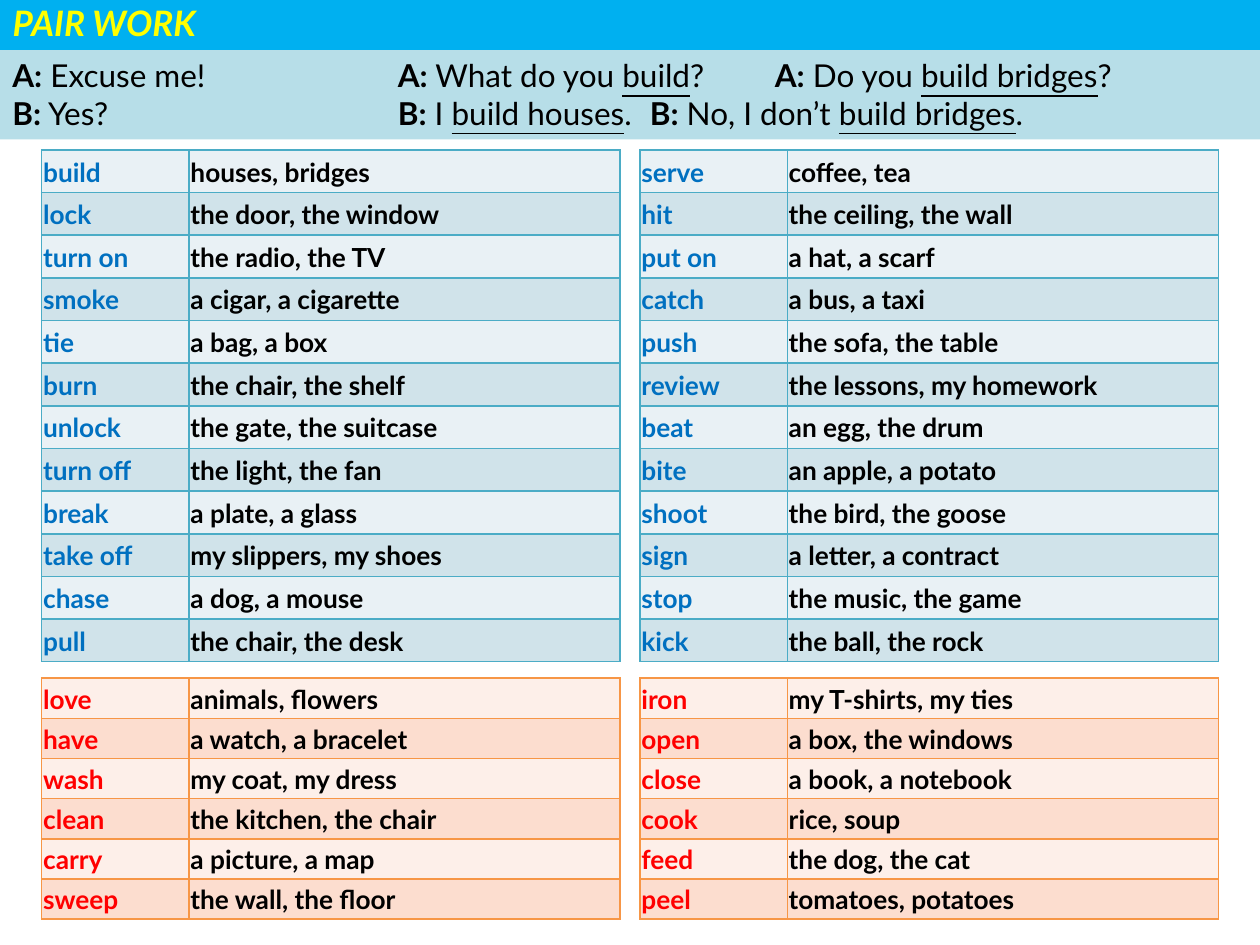
from lxml import etree
from pptx import Presentation
from pptx import util as u
from pptx.dml.color import RGBColor
from pptx.enum import shapes, text
from pptx.oxml.ns import qn

# Content
TITLE = "PAIR WORK"
# Each turn is a list of (words, style); style is "bold", "underline" or ""
DIALOGUE = [
    [
        [("A:", "bold"), (" Excuse me!", "")],
        [("A:", "bold"), (" What do you ", ""), ("build", "underline"), ("?", "")],
        [("A:", "bold"), (" Do you ", ""), ("build bridges", "underline"), ("?", "")],
    ],
    [
        [("B:", "bold"), (" Yes?", "")],
        [("B:", "bold"), (" I ", ""), ("build houses", "underline"), (".", "")],
        [("B:", "bold"), (" No, I don’t ", ""), ("build bridges", "underline"), (".", "")],
    ],
]
TURN_STOPS = [(7.77, 15.37), (7.77, 12.85)]  # cm, one pair per dialogue line

BLUE_VERBS = [
    [("build", "houses, bridges"), ("lock", "the door, the window"),
     ("turn on", "the radio, the TV"), ("smoke", "a cigar, a cigarette"),
     ("tie", "a bag, a box"), ("burn", "the chair, the shelf"),
     ("unlock", "the gate, the suitcase"), ("turn off", "the light, the fan"),
     ("break", "a plate, a glass"), ("take off", "my slippers, my shoes"),
     ("chase", "a dog, a mouse"), ("pull", "the chair, the desk")],
    [("serve", "coffee, tea"), ("hit", "the ceiling, the wall"),
     ("put on", "a hat, a scarf"), ("catch", "a bus, a taxi"),
     ("push", "the sofa, the table"), ("review", "the lessons, my homework"),
     ("beat", "an egg, the drum"), ("bite", "an apple, a potato"),
     ("shoot", "the bird, the goose"), ("sign", "a letter, a contract"),
     ("stop", "the music, the game"), ("kick", "the ball, the rock")],
]
RED_VERBS = [
    [("love", "animals, flowers"), ("have", "a watch, a bracelet"),
     ("wash", "my coat, my dress"), ("clean", "the kitchen, the chair"),
     ("carry", "a picture, a map"), ("sweep", "the wall, the floor")],
    [("iron", "my T-shirts, my ties"), ("open", "a box, the windows"),
     ("close", "a book, a notebook"), ("cook", "rice, soup"),
     ("feed", "the dog, the cat"), ("peel", "tomatoes, potatoes")],
]

# Theme
THEME = {
    "font": "Lato", "ink": "000000",
    "title_size": 20, "dialogue_size": 18, "table_size": 15,
    "title_ink": "FFFF00", "title_band": "00B0F0", "dialogue_band": "B7DEE8",
    "blue": {"verb": "0070C0", "border": "4BACC6", "bands": ("E9F1F5", "D0E3EA")},
    "red": {"verb": "FF0000", "border": "F79646", "bands": ("FDEFE9", "FCDDCF")},
}

# Layout, in cm
SLIDE_W, SLIDE_H = 25.4, 19.05
TABLE_LEFTS = (0.84, 12.9)
VERB_W, OBJECTS_W = 2.97, 8.69
GROUPS = [  # verb lists, palette, top, row height
    (BLUE_VERBS, THEME["blue"], 3.02, 0.86),
    (RED_VERBS, THEME["red"], 13.67, 0.81),
]


def paint(part, color):
    part.fill.solid()
    part.fill.fore_color.rgb = RGBColor.from_string(color)


def set_font(paragraph, size, color, bold=None, italic=None):
    font = paragraph.font
    font.name, font.size = THEME["font"], u.Pt(size)
    font.color.rgb = RGBColor.from_string(color)
    font.bold, font.italic = bold, italic


def add_tab_stops(paragraph, stops):
    tabs = etree.SubElement(paragraph._p.get_or_add_pPr(), qn("a:tabLst"))
    for stop in stops:
        etree.SubElement(tabs, qn("a:tab"), pos=str(u.Cm(stop)), algn="l")


def add_borders(cell, color):
    props = cell._tc.get_or_add_tcPr()
    for index, side in enumerate(("a:lnL", "a:lnR", "a:lnT", "a:lnB")):
        line = etree.Element(qn(side), w=str(u.Pt(1)))
        fill = etree.SubElement(line, qn("a:solidFill"))
        etree.SubElement(fill, qn("a:srgbClr"), val=color)
        props.insert(index, line)


def add_title(slide):
    title = slide.shapes.title
    title.left, title.top = u.Cm(0), u.Cm(-0.1)
    title.width, title.height = u.Cm(SLIDE_W), u.Cm(1.11)
    paint(title, THEME["title_band"])
    frame = title.text_frame
    frame.auto_size = text.MSO_AUTO_SIZE.NONE
    frame.vertical_anchor = text.MSO_ANCHOR.MIDDLE
    frame.text = TITLE
    heading = frame.paragraphs[0]
    heading.alignment = text.PP_ALIGN.JUSTIFY
    set_font(heading, THEME["title_size"], THEME["title_ink"], True, True)


def add_dialogue(slide):
    band = slide.shapes.add_shape(shapes.MSO_SHAPE.RECTANGLE, u.Cm(0), u.Cm(1.01),
                                  u.Cm(SLIDE_W), u.Cm(1.8))
    band.shadow.inherit = False
    paint(band, THEME["dialogue_band"])
    band.line.fill.background()
    frame = band.text_frame
    frame.word_wrap = True
    frame.vertical_anchor = text.MSO_ANCHOR.TOP
    for row, (turns, stops) in enumerate(zip(DIALOGUE, TURN_STOPS)):
        speech = frame.add_paragraph() if row else frame.paragraphs[0]
        speech.alignment = text.PP_ALIGN.LEFT
        add_tab_stops(speech, stops)
        set_font(speech, THEME["dialogue_size"], THEME["ink"])
        for position, turn in enumerate(turns):
            if position:
                speech.add_run().text = "\t"
            for words, style in turn:
                run = speech.add_run()
                run.text = words
                if style:
                    setattr(run.font, style, True)


def add_verb_table(slide, verbs, palette, left, top, row_height):
    table = slide.shapes.add_table(len(verbs), 2, u.Cm(left), u.Cm(top),
                                   u.Cm(VERB_W + OBJECTS_W),
                                   u.Cm(row_height * len(verbs))).table
    table.first_row = table.horz_banding = False
    table.columns[0].width, table.columns[1].width = u.Cm(VERB_W), u.Cm(OBJECTS_W)
    for row, entry in enumerate(verbs):
        table.rows[row].height = u.Cm(row_height)
        for column, (words, ink) in enumerate(zip(entry, (palette["verb"], THEME["ink"]))):
            cell = table.cell(row, column)
            cell.margin_left = cell.margin_right = cell.margin_top = u.Cm(0.03)
            cell.margin_bottom = 0
            cell.vertical_anchor = text.MSO_ANCHOR.MIDDLE
            paint(cell, palette["bands"][row % 2])
            add_borders(cell, palette["border"])
            cell.text = words
            set_font(cell.text_frame.paragraphs[0], THEME["table_size"], ink, True)


def main():
    deck = Presentation()
    deck.slide_width, deck.slide_height = u.Cm(SLIDE_W), u.Cm(SLIDE_H)
    slide = deck.slides.add_slide(deck.slide_layouts[5])
    add_title(slide)
    add_dialogue(slide)
    for verb_lists, palette, top, row_height in GROUPS:
        for verbs, left in zip(verb_lists, TABLE_LEFTS):
            add_verb_table(slide, verbs, palette, left, top, row_height)
    deck.save("out.pptx")


if __name__ == "__main__":
    main()
